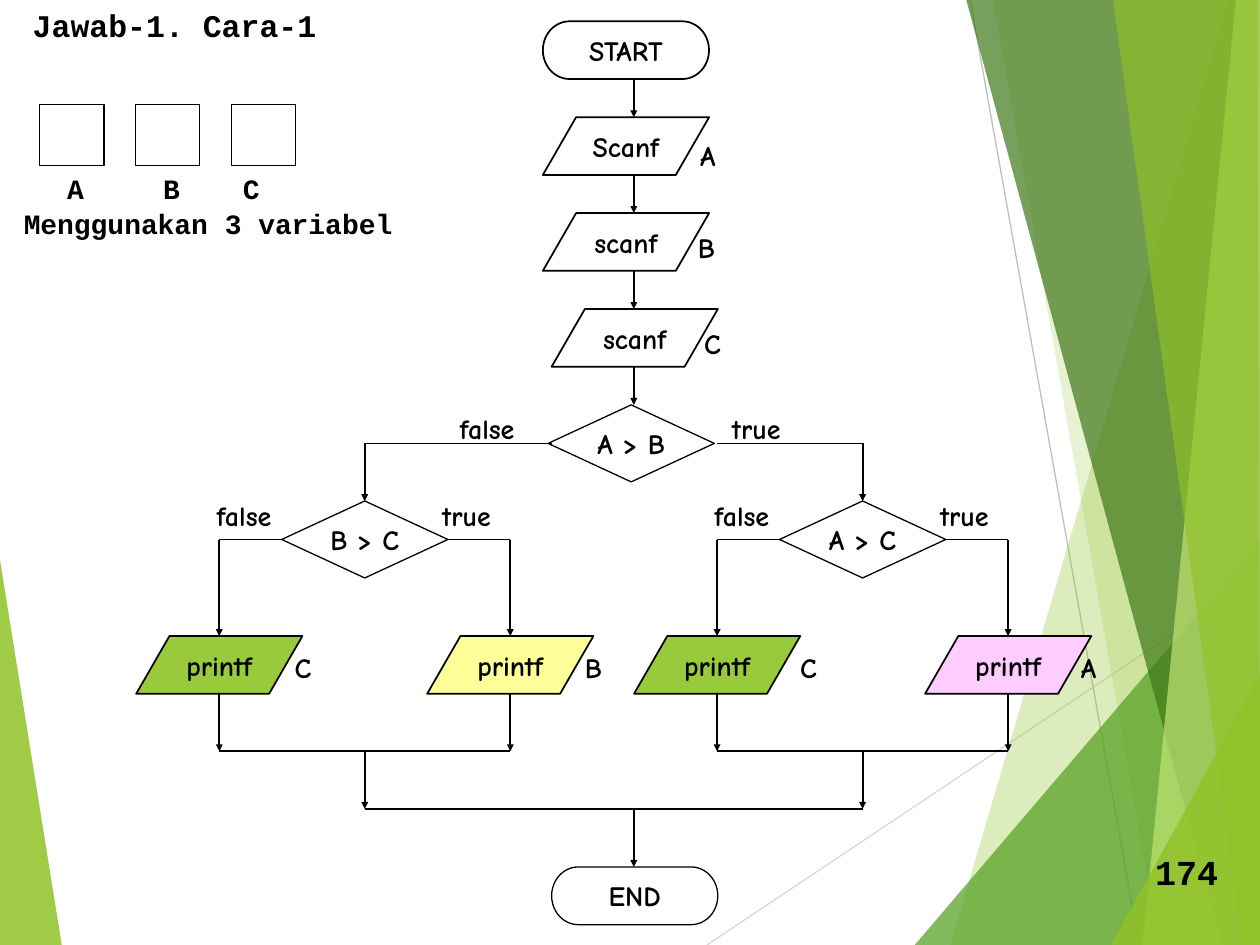
from lxml.etree import SubElement
from pptx import Presentation
from pptx.dml.color import RGBColor
from pptx.enum.shapes import MSO_CONNECTOR, MSO_SHAPE
from pptx.enum.text import MSO_ANCHOR, MSO_AUTO_SIZE, PP_ALIGN
from pptx.oxml.ns import qn
from pptx.util import Pt

INK = {
    "text": "000000", "lime": "90C226", "leaf": "54A021", "moss": "3F7819",
    "pale": "C0E474", "thin": "D9D9D9", "gray": "BFBFBF",
    "green": "99CA3C", "yellow": "FFFF99", "pink": "FFCCFF",
}
COMIC = {"name": "Comic Neue", "size": Pt(16), "bold": True}
CODE = {**COMIC, "name": "Courier New"}
PLAIN = {
    "margin_left": Pt(7.2), "margin_right": 0,
    "margin_top": Pt(3.6), "margin_bottom": Pt(3.6),
    "word_wrap": True, "vertical_anchor": MSO_ANCHOR.TOP,
}
INNER = {**PLAIN, "margin_right": Pt(7.2), "word_wrap": False,
         "vertical_anchor": MSO_ANCHOR.MIDDLE}
STEP = 54.8                # from one row of the chart to the next
WIDE, HIGH, GEM = 95, 33, 44    # node width, node height, decision height
SPAN = 166.3               # between the two lanes of a branch


def apply(item, values):
    for key, value in values.items():
        setattr(item, key, value)


def color(name):
    return RGBColor.from_string(INK[name])


def write(shape, text, font, form=PLAIN, align=PP_ALIGN.LEFT):
    frame = shape.text_frame
    apply(frame, form)
    frame.text = text
    para = frame.paragraphs[0]
    para.alignment = align
    face = para.runs[0].font
    apply(face, font)
    face.color.rgb = color("text")


def label(slide, text, x, y, w, h=26.6, font=COMIC):
    box = slide.shapes.add_textbox(Pt(x), Pt(y), Pt(w), Pt(h))
    write(box, text, font)


def line(slide, x1, y1, x2, y2, arrow=False, ink="text", width=1):
    link = slide.shapes.add_connector(
        MSO_CONNECTOR.STRAIGHT, Pt(x1), Pt(y1), Pt(x2), Pt(y2))
    link.line.color.rgb = color(ink)
    link.line.width = Pt(width)
    if arrow:
        SubElement(link.line._get_or_add_ln(), qn("a:tailEnd"),
                   type="triangle", w="sm", len="sm")
    SubElement(link._element.spPr, qn("a:effectLst"))


def node(slide, kind, x, y, w=WIDE, h=HIGH, text="", fill=None, width=1):
    shape = slide.shapes.add_shape(kind, Pt(x), Pt(y), Pt(w), Pt(h))
    shape.shadow.inherit = False
    if fill:
        shape.fill.solid()
        shape.fill.fore_color.rgb = color(fill)
    else:
        shape.fill.background()
    shape.line.color.rgb = color("text")
    shape.line.width = Pt(width)
    if text:
        write(shape, text, COMIC, INNER, PP_ALIGN.CENTER)


def facet(slide, points, ink, alpha):
    """Draw one see-through polygon; alpha is in percent."""
    spots = [(Pt(x), Pt(y)) for x, y in points]
    pen = slide.shapes.build_freeform(*spots[0])
    pen.add_line_segments(spots[1:], close=True)
    shape = pen.convert_to_shape()
    shape.shadow.inherit = False
    shape.fill.solid()
    shape.fill.fore_color.rgb = color(ink)
    shape.line.fill.background()
    tint = shape._element.spPr.find(".//" + qn("a:srgbClr"))
    SubElement(tint, qn("a:alpha"), val=str(alpha * 1000))


def scene(slide, w, h):
    """Draw the faceted edges over a slide of w by h."""
    facet(slide, [(0, 320), (35.3, h), (0, h)], "lime", 85)
    line(slide, 404, h, w, 329, ink="thin", width=0.75)
    line(slide, 554.4, 0, 651, h, ink="gray", width=0.75)
    for points, ink, alpha in (
        ([(702, 0), (543, h), (w, h), (w, 0)], "lime", 30),
        ([(567.4, 0), (662.4, h), (w, h), (w, 0)], "lime", 20),
        ([(522.7, h), (w, 309), (w, h)], "leaf", 72),
        ([(552.2, 0), (698.4, h), (w, h), (w, 0)], "moss", 70),
        ([(706.3, 0), (653, h), (w, h), (w, 0)], "pale", 70),
        ([(636, 0), (710, h), (w, h), (718.6, 0)], "lime", 65),
        ([(635, h), (w, 385.2), (w, h)], "lime", 80),
    ):
        facet(slide, points, ink, alpha)


def heading(slide, x, y):
    title = slide.shapes.title
    apply(title, {"left": Pt(x), "top": Pt(y), "width": Pt(176.4),
                  "height": Pt(29)})
    write(title, "Jawab-1. Cara-1", {**CODE, "size": Pt(18)})
    title.text_frame.auto_size = MSO_AUTO_SIZE.NONE


def memory(slide, x, y):
    """Draw the three variable cells and their caption."""
    for i, (name, shift) in enumerate((("A", 8.6), ("B", 8.6), ("C", -0.6))):
        left = x + i * STEP
        node(slide, MSO_SHAPE.RECTANGLE, left, y, 36.7, 34.6, width=0.75)
        label(slide, name, left + shift, y + 34.5, 23.8, font=CODE)
    label(slide, "Menggunakan 3 variabel", x - 16.2, y + 54.9, 224.6, font=CODE)


def spine(slide, mid, top):
    """Draw the input steps, the first decision and the end node."""
    data = MSO_SHAPE.FLOWCHART_DATA
    node(slide, MSO_SHAPE.FLOWCHART_TERMINATOR, mid - 52, top, text="START")
    steps = (("Scanf", "A", -52, 30.8, 8.8), ("scanf", "B", -52, 29.5, 6.4),
             ("scanf", "C", -47, 33.1, 6.4))
    for i, (text, name, shift, dx, dy) in enumerate(steps, 1):
        y = top + i * STEP
        node(slide, data, mid + shift, y, text=text)
        label(slide, name, mid + dx, y + dy, 23.8)
    for i in range(4):
        y = top + i * STEP
        line(slide, mid, y + HIGH, mid, y + STEP, arrow=True)
    gem = top + 4 * STEP
    node(slide, MSO_SHAPE.FLOWCHART_DECISION, mid - 49, gem, h=GEM,
         text="A > B", width=0.75)
    label(slide, "false", mid - 106.6, gem, 46)
    label(slide, "true", mid + 49, gem, 41.8)
    end = top + 483.2
    node(slide, MSO_SHAPE.FLOWCHART_TERMINATOR, mid - 47, end, text="END",
         width=0.75)
    line(slide, mid, end - HIGH, mid, end, arrow=True)


def branch(slide, x, y, test, lanes):
    """Draw a decision at height y and two output lanes, the left one at x."""
    mid, half = x + SPAN / 2, WIDE / 2
    out, join = y + 55.2, y + 121
    node(slide, MSO_SHAPE.FLOWCHART_DECISION, mid - half, y - GEM / 2, h=GEM,
         text=test, width=0.75)
    label(slide, "false", x - 8.6, y - 26.8, 46)
    label(slide, "true", x + 120.3, y - 26.8, 41.8)
    ends = (x, mid - half), (x + SPAN, mid + half)
    for (lane, edge), (name, fill, dx) in zip(ends, lanes):
        line(slide, edge, y, lane, y)
        line(slide, lane, y, lane, out, arrow=True)
        node(slide, MSO_SHAPE.FLOWCHART_DATA, lane - half, out, text="printf",
             fill=fill)
        label(slide, name, lane + dx, out + 4.8, 23.8)
        line(slide, lane, out + HIGH, lane, join, arrow=True)
    line(slide, x, join, x + SPAN, join)


def links(slide, left, right, mid, top, base):
    """Join the spine to the centres of both branches."""
    for x, edge in ((left, mid - 47), (right, mid + 47.5)):
        line(slide, edge, top, x, top)
        line(slide, x, top, x, top + HIGH, arrow=True)
        line(slide, x, base - HIGH, x, base, arrow=True)
    line(slide, left, base, right, base)


def main():
    deck = Presentation()
    apply(deck, {"slide_width": Pt(720), "slide_height": Pt(540)})
    slide = deck.slides.add_slide(deck.slide_layouts[5])
    scene(slide, 720, 540)
    heading(slide, 11.5, 0)
    memory(slide, 22.7, 59.8)
    mid, left, right = 362.2, 125.3, 409.8
    spine(slide, mid, 12.2)
    branch(slide, left, 308.3, "B > C",
           (("C", "green", 36), ("B", "yellow", 35.5)))
    branch(slide, right, 308.3, "A > C",
           (("C", "green", 40.3), ("A", "pink", 34.5)))
    links(slide, left + SPAN / 2, right + SPAN / 2, mid, 253.4, 462.2)
    label(slide, "174", 653, 482.4, 50.4, 31.7, {**CODE, "size": Pt(20)})
    deck.save("out.pptx")


if __name__ == "__main__":
    main()
